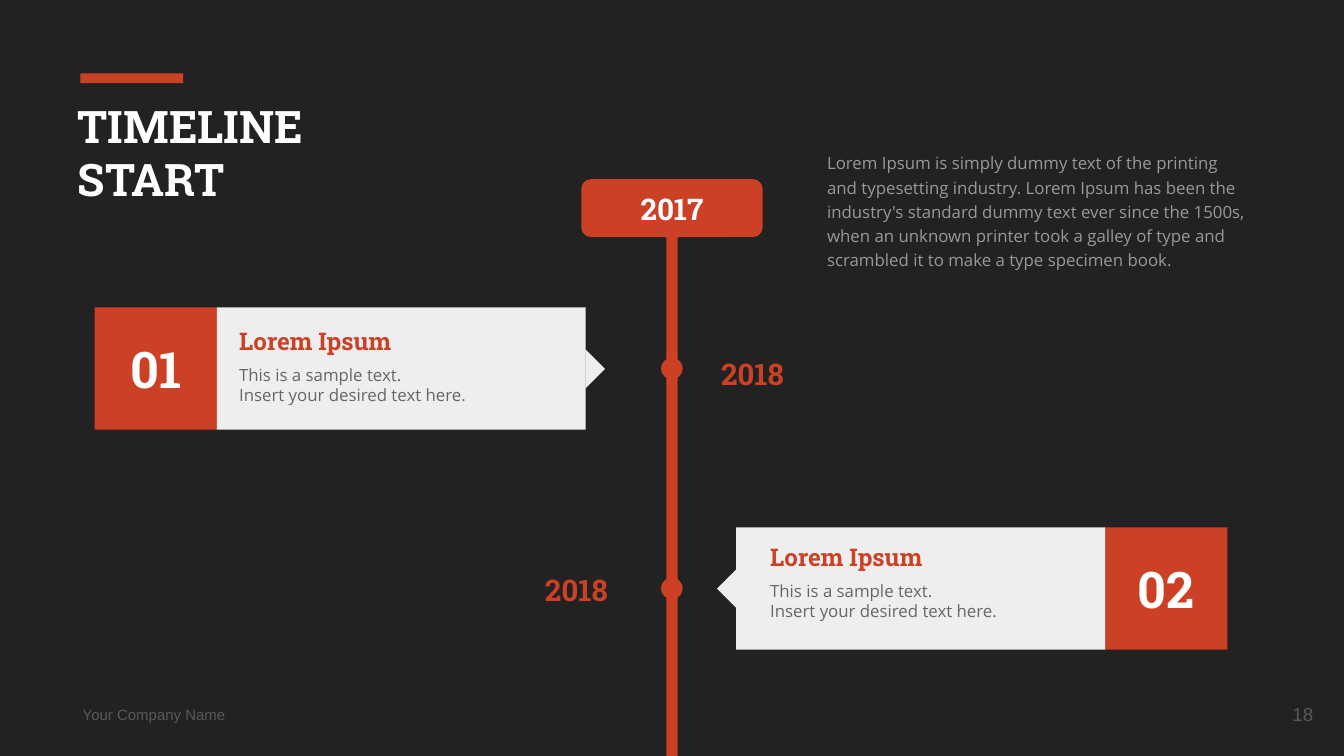
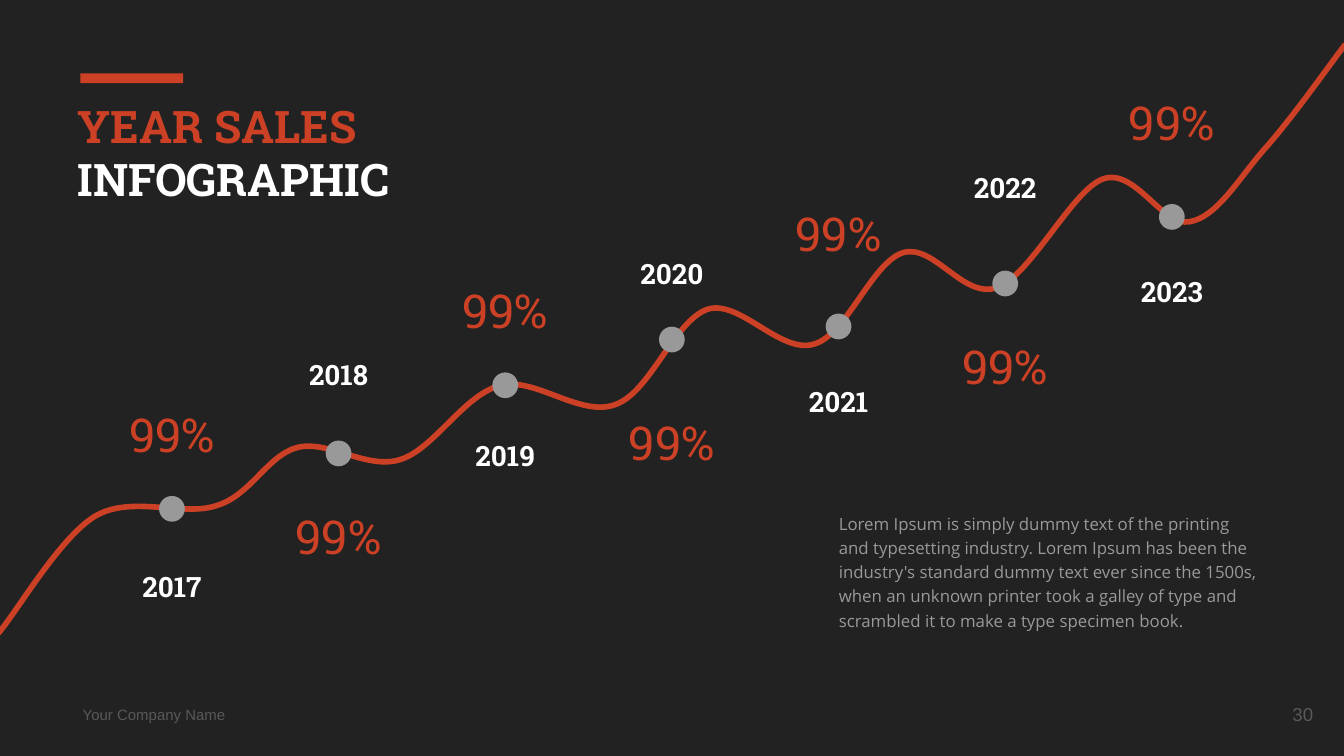
from lxml.etree import SubElement
from pptx import Presentation
from pptx.dml.color import RGBColor
from pptx.enum.shapes import MSO_CONNECTOR, MSO_SHAPE
from pptx.enum.text import MSO_ANCHOR, MSO_AUTO_SIZE, PP_ALIGN
from pptx.oxml.ns import qn
from pptx.util import Pt

NIGHT = RGBColor(0x22, 0x22, 0x22)
RED = RGBColor(0xCC, 0x41, 0x25)
WHITE = RGBColor(0xFF, 0xFF, 0xFF)
PANEL = RGBColor(0xEE, 0xEE, 0xEE)
SILVER = RGBColor(0x99, 0x99, 0x99)
GRAY = RGBColor(0x66, 0x66, 0x66)
DIM = RGBColor(0x59, 0x59, 0x59)
SLAB, SANS, PLAIN = "Roboto Slab", "Open Sans", "Arial"
LEFT, CENTER, RIGHT = PP_ALIGN.LEFT, PP_ALIGN.CENTER, PP_ALIGN.RIGHT

INTRO = (
    "Lorem Ipsum is simply dummy text of the printing and typesetting industry. "
    "Lorem Ipsum has been the industry's standard dummy text ever since the 1500s, "
    "when an unknown printer took a galley of type and scrambled it to make a type "
    "specimen book."
)


def add_block(slide, kind, box, fill):
    block = slide.shapes.add_shape(kind, *map(Pt, box))
    block.shadow.inherit = False
    block.fill.solid()
    block.fill.fore_color.rgb = fill
    block.line.fill.background()
    return block


def write(shape, lines, size, font, color, bold=False, align=LEFT,
          anchor=MSO_ANCHOR.MIDDLE, spacing=1.0):
    frame = shape.text_frame
    frame.word_wrap = True
    frame.auto_size = MSO_AUTO_SIZE.NONE
    frame.vertical_anchor = anchor
    frame.margin_left = frame.margin_right = Pt(7.2)
    frame.margin_top = frame.margin_bottom = Pt(7.2)
    frame.text = "\n".join(lines)
    for paragraph in frame.paragraphs:
        paragraph.alignment = align
        paragraph.line_spacing = spacing
        paragraph.font.size = Pt(size)
        paragraph.font.name = font
        paragraph.font.bold = bold
        paragraph.font.color.rgb = color


prs = Presentation()
prs.slide_width, prs.slide_height = Pt(720), Pt(405)

layout = prs.slide_layouts.get_by_name("Title Only")
layout.background.fill.solid()
layout.background.fill.fore_color.rgb = NIGHT
for placeholder in list(layout.placeholders)[1:]:
    layout.shapes.element.remove(placeholder.element)

timeline = prs.slides.add_slide(layout)
sales = prs.slides.add_slide(layout)

title_bar = add_block(timeline, MSO_SHAPE.RECTANGLE, (43, 39.3, 55.2, 5.3), RED)
company = timeline.shapes.add_textbox(Pt(37.2), Pt(373.2), Pt(120), Pt(19))
write(company, ["Your Company Name"], 8, PLAIN, DIM)
for shared in (title_bar, company):
    layout.shapes.element.append(shared.element)

for slide, title_lines, number, intro_box in (
    (timeline, ["TIMELINE", "START"], "18", (436, 72.7, 240, 80)),
    (sales, [""], "30", (442.3, 265.7, 239, 78.5)),
):
    title = slide.shapes.title
    title.left, title.top, title.width, title.height = map(Pt, (34.5, 45.4, 324.7, 83.5))
    write(title, title_lines, 24, SLAB, WHITE, bold=True, anchor=MSO_ANCHOR.TOP)
    page = slide.shapes.add_textbox(Pt(667.4), Pt(367.2), Pt(43.2), Pt(31))
    write(page, [number], 10, PLAIN, DIM, align=RIGHT)
    intro = slide.shapes.add_textbox(*map(Pt, intro_box))
    write(intro, [INTRO], 9, SANS, SILVER, anchor=MSO_ANCHOR.TOP, spacing=1.2)

start_year = add_block(timeline, MSO_SHAPE.ROUNDED_RECTANGLE, (311.4, 96, 97.2, 31), RED)
write(start_year, ["2017"], 16, SLAB, WHITE, bold=True, align=CENTER)
axis = timeline.shapes.add_connector(MSO_CONNECTOR.STRAIGHT, Pt(360), Pt(127), Pt(360), Pt(405))
axis.begin_connect(start_year, 2)
axis.line.color.rgb = RED
axis.line.width = Pt(6)
SubElement(axis.element.spPr, qn("a:effectLst"))

for number, top, number_left, panel_left, pointer_left, turn, text_left, text_top, year_box, year_align in (
    ("01", 164.7, 50.7, 116.2, 306.2, 225, 121, 176.6, (379.2, 187.9), LEFT),
    ("02", 282.5, 592, 394.4, 387.2, 45, 405.5, 292.4, (267.7, 304), RIGHT),
):
    add_block(timeline, MSO_SHAPE.OVAL, (354.2, top + 27, 11.5, 11.5), RED)
    year = timeline.shapes.add_textbox(*map(Pt, year_box), Pt(65), Pt(24))
    write(year, ["2018"], 16, SLAB, RED, bold=True, align=year_align)
    badge = add_block(timeline, MSO_SHAPE.RECTANGLE, (number_left, top, 65.5, 65.5), RED)
    write(badge, [number], 27, SLAB, WHITE, bold=True, align=CENTER)
    add_block(timeline, MSO_SHAPE.RECTANGLE, (panel_left, top, 197.6, 65.5), PANEL)
    pointer = add_block(timeline, MSO_SHAPE.RIGHT_TRIANGLE, (pointer_left, top + 25.5, 14.8, 14.8), PANEL)
    pointer.rotation = turn
    sample = timeline.shapes.add_textbox(Pt(text_left), Pt(text_top + 12.9), Pt(180.7), Pt(33))
    write(sample, ["This is a sample text.", "Insert your desired text here."], 9, SANS, GRAY)
    heading = timeline.shapes.add_textbox(Pt(text_left), Pt(text_top), Pt(180.7), Pt(11.5))
    write(heading, ["Lorem Ipsum"], 13, SLAB, RED, bold=True)

sales_title = sales.shapes.title.text_frame.paragraphs[0]
for words, color in (("YEAR SALES ", RED), ("INFOGRAPHIC", WHITE)):
    run = sales_title.add_run()
    run.text = words
    run.font.color.rgb = color

curve_start = (-1.4, 339.8)
curve_points = [
    (7.9, 329.8), (31.7, 288), (51.1, 276.5),
    (70.6, 265), (98.6, 277.2), (116.6, 270.7),
    (134.6, 265), (143.3, 244.1), (159.1, 239.8),
    (175.7, 235.4), (196.6, 252), (214.6, 246.2),
    (232.6, 240.5), (248.4, 211.7), (267.8, 206.6),
    (286.6, 201.6), (311, 223.9), (329.8, 216.7),
    (348.5, 210.2), (361.4, 171.4), (379.4, 165.6),
    (396.7, 160.6), (418.3, 190.1), (436.3, 184.3),
    (453.6, 179.3), (467.3, 140.4), (483.8, 135.4),
    (500.4, 130.3), (516.2, 160.6), (534.2, 154.1),
    (552.2, 147.6), (574.6, 101.5), (591.1, 95.8),
    (608.4, 90), (622.8, 121.7), (637.2, 118.8),
    (651.6, 116.6), (663.1, 96.5), (676.8, 80.6),
    (691.2, 64.8), (713.5, 33.1), (720.7, 23.8),
]
outline = sales.shapes.build_freeform(*map(Pt, curve_start))
outline.add_line_segments([(Pt(x), Pt(y)) for x, y in curve_points], close=False)
sales_curve = outline.convert_to_shape()
sales_curve.shadow.inherit = False
sales_curve.fill.background()
sales_curve.line.color.rgb = RED
sales_curve.line.width = Pt(3)

track = sales_curve.element.find(".//" + qn("a:path"))
segments = track.findall(qn("a:lnTo"))
for trio in zip(segments[::3], segments[1::3], segments[2::3]):
    bend = SubElement(track, qn("a:cubicBezTo"))
    for segment in trio:
        bend.append(segment[0])
        track.remove(segment)

milestones = (
    (265.7, 305.3, 216.7),
    (236, 191.5, 271.4),
    (199.5, 234.7, 150.5),
    (175, 137.5, 221),
    (168, 205.9, 109.4),
    (145, 91.4, 180.7),
    (109.3, 146.9, 49.7),
)
for index, (dot_top, year_top, share_top) in enumerate(milestones):
    center = 92.1 + 89.28 * index
    add_block(sales, MSO_SHAPE.OVAL, (center - 6.9, dot_top, 13.8, 13.8), SILVER)
    year = sales.shapes.add_textbox(Pt(center - 37.5), Pt(year_top), Pt(75), Pt(18))
    write(year, [str(2017 + index)], 15, SLAB, WHITE, bold=True, align=CENTER)
    share = sales.shapes.add_textbox(Pt(center - 37.5), Pt(share_top), Pt(75), Pt(31))
    write(share, ["99%"], 25, SLAB, RED, align=CENTER)

prs.save("out.pptx")
